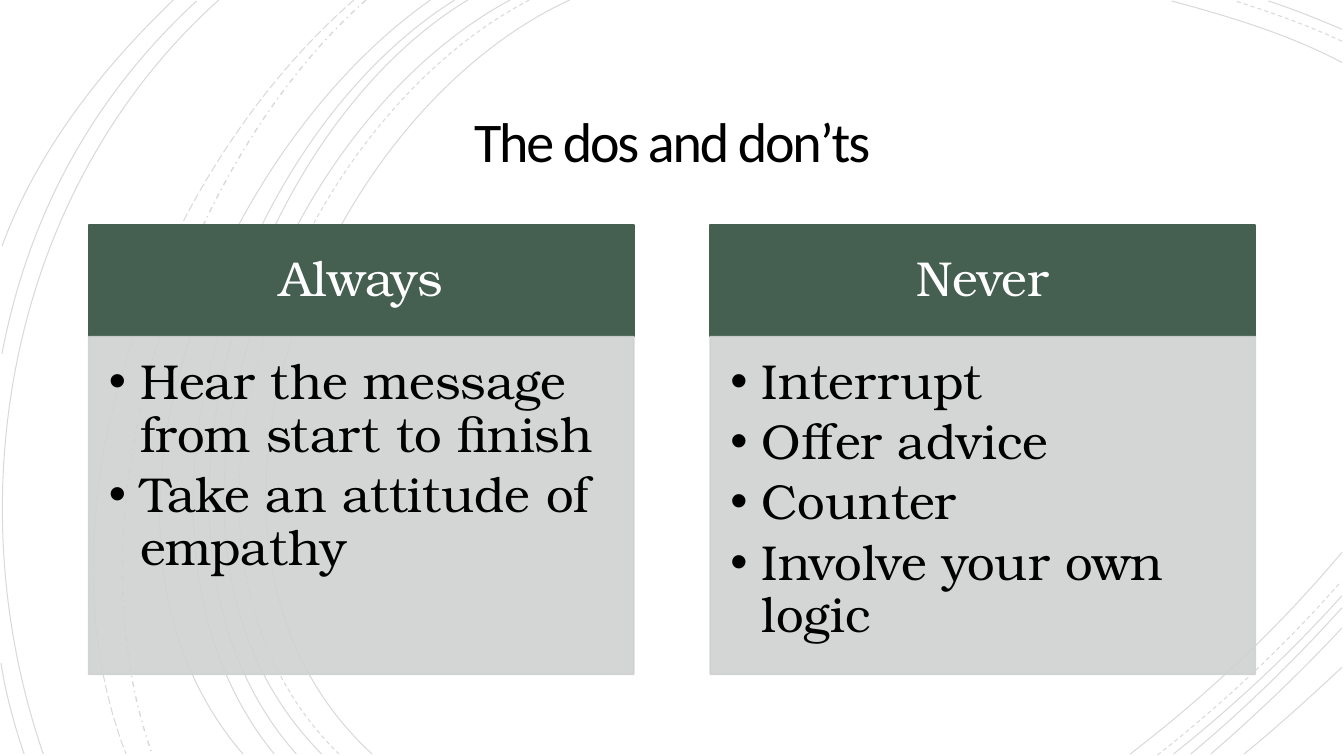
from dataclasses import dataclass

from lxml import etree
from pptx import Presentation
from pptx import util as u
from pptx.dml.color import RGBColor
from pptx.enum import dml, text
from pptx.oxml import ns


@dataclass(frozen=True)
class Theme:
    ink: str = "000000"
    paper: str = "FFFFFF"
    header: str = "455F51"
    panel: str = "CFD2D0"
    title_font: str = "Calibri"
    body_font: str = "TeX Gyre Bonum"
    title_size: float = 40
    body_size: float = 35
    arc_alpha: int = 15
    panel_alpha: int = 90


@dataclass(frozen=True)
class Box:
    x: float
    y: float
    w: float
    h: float

    def columns(self, count, gap):
        w = (self.w - gap * (count - 1)) / count
        return [Box(self.x + i * (w + gap), self.y, w, self.h) for i in range(count)]

    def split(self, top):
        return Box(self.x, self.y, self.w, top), Box(self.x, self.y + top, self.w, self.h - top)


THEME = Theme()
PAGE = Box(0, 0, 13.33, 7.5)
TITLE = Box(1.92, 0.87, 9.49, 1.15)
CARDS = Box(0.88, 2.23, 11.57, 4.46)
CARD_GAP = 0.76
HEADER_HEIGHT = 1.11

SOLID, DASH = dml.MSO_LINE.SOLID, dml.MSO_LINE.DASH
LONG_DASH, DASH_DOT = dml.MSO_LINE.LONG_DASH, dml.MSO_LINE.DASH_DOT

ARCS = [
    (SOLID, (5.65, 0), (3.15, 1.15), (1.43, 5.4), (3.69, 7.48)),
    (SOLID, (13.31, 0.62), (12.78, 0.34), (12.18, 0.16), (11.62, 0.01)),
    (SOLID, (11.21, 7.48), (11.97, 6.9), (12.69, 6.22), (13.31, 5.48)),
    (DASH, (5.25, 0), (2.85, 1.25), (1.23, 5.37), (3.36, 7.48)),
    (DASH, (13.31, 0.41), (12.97, 0.25), (12.6, 0.12), (12.25, 0.01)),
    (DASH, (11.48, 7.49), (12.13, 6.98), (12.75, 6.4), (13.3, 5.77)),
    (SOLID, (5.06, 0), (2.7, 1.27), (1.1, 5.37), (3.19, 7.48)),
    (SOLID, (13.31, 0.29), (13.07, 0.19), (12.83, 0.09), (12.58, 0.01)),
    (SOLID, (11.64, 7.48), (12.23, 7.01), (12.8, 6.48), (13.31, 5.91)),
    (SOLID, (4.64, 0), (2.44, 1.33), (1.1, 5.41), (2.94, 7.48)),
    (SOLID, (11.81, 7.48), (12.34, 7.04), (12.84, 6.55), (13.31, 6.03)),
    (SOLID, (4.51, 0), (2.31, 1.38), (0.97, 5.33), (2.72, 7.48)),
    (SOLID, (12.01, 7.48), (12.46, 7.09), (12.9, 6.67), (13.31, 6.23)),
    (SOLID, (4.27, 0), (2.17, 1.47), (0.53, 5.29), (2.41, 7.48)),
    (SOLID, (12.34, 7.48), (12.67, 7.21), (12.99, 6.92), (13.31, 6.62)),
    (DASH_DOT, (3.63, 0), (1.76, 1.66), (0.65, 5.09), (1.51, 7.48)),
    (LONG_DASH, (3.51, 0), (1.57, 1.69), (0.29, 4.99), (1.25, 7.48)),
    (SOLID, (2.17, 0), (0.11, 1.85), (-0.46, 4.9), (0.43, 7.48)),
    (SOLID, (1.95, 0.01), (0.92, 0.96), (0.28, 2.14), (0.02, 3.51)),
    (SOLID, (0.01, 6.58), (0.06, 6.89), (0.14, 7.19), (0.24, 7.48)),
    (SOLID, (1.72, 0), (1, 0.69), (0.37, 1.5), (0.02, 2.44)),
]

LISTS = [
    ("Always", ["Hear the message from start to finish", "Take an attitude of empathy"]),
    ("Never", ["Interrupt", "Offer advice", "Counter", "Involve your own logic"]),
]


def paint(fill, color, alpha=100):
    fill.solid()
    fill.fore_color.rgb = RGBColor.from_string(color)
    if alpha < 100:
        clr = fill._xPr.find(".//" + ns.qn("a:srgbClr"))
        etree.SubElement(clr, ns.qn("a:alpha"), val=str(alpha * 1000))


def bend(sp):
    outline = sp._element.find(".//" + ns.qn("a:path"))
    curve = etree.SubElement(outline, ns.qn("a:cubicBezTo"))
    for line in outline.findall(ns.qn("a:lnTo")):
        curve.append(line[0])
        outline.remove(line)


def draw_arcs(slide, box):
    group = slide.shapes.add_group_shape()
    for dash, *controls in ARCS:
        points = [(u.Inches(box.x + x), u.Inches(box.y + y)) for x, y in controls]
        builder = group.shapes.build_freeform(*points[0])
        builder.add_line_segments(points[1:], close=False)
        sp = builder.convert_to_shape()
        bend(sp)
        sp.shadow.inherit = False
        sp.fill.background()
        paint(sp.line.fill, THEME.ink, THEME.arc_alpha)
        sp.line.width = u.Pt(1 if dash == DASH_DOT else 0.75)
        sp.line.dash_style = dash
    slide.shapes._spTree.insert(2, group._element)


def place(sp, box, insets, anchor):
    sp.left, sp.top, sp.width, sp.height = map(u.Inches, (box.x, box.y, box.w, box.h))
    tf = sp.text_frame
    tf.margin_left, tf.margin_top, tf.margin_right, tf.margin_bottom = map(u.Inches, insets)
    tf.word_wrap = True
    tf.auto_size = text.MSO_AUTO_SIZE.NONE
    tf.vertical_anchor = anchor
    return tf


def write(p, words, font, size, color, align, spacing, after=0):
    p.alignment = align
    p.line_spacing = spacing
    p.space_before = u.Pt(0)
    p.space_after = u.Pt(after)
    r = p.add_run()
    r.text = words
    r.font.name = font
    r.font.size = u.Pt(size)
    r.font.bold = False
    r.font.color.rgb = RGBColor.from_string(color)
    return r


def draw_title(sp, box):
    tf = place(sp, box, [0.25] * 4, text.MSO_ANCHOR.MIDDLE)
    r = write(tf.paragraphs[0], "The dos and don’ts", THEME.title_font, THEME.title_size,
              THEME.ink, text.PP_ALIGN.CENTER, 0.85)
    r.font._element.set("spc", "-150")


def fill_panel(sp, color, alpha=100):
    paint(sp.fill, color, alpha)
    paint(sp.line.fill, color, alpha)
    sp.line.width = u.Pt(1.25)


def add_bullet(p):
    pr = p._p.get_or_add_pPr()
    pr.set("marL", str(u.Inches(0.31)))
    pr.set("indent", str(u.Inches(-0.31)))
    etree.SubElement(pr, ns.qn("a:buChar"), char="•")


def draw_card(header, body, box, heading, items):
    top, bottom = box.split(HEADER_HEIGHT)
    tf = place(header, top, (0.27, 0.16, 0.27, 0.16), text.MSO_ANCHOR.MIDDLE)
    fill_panel(header, THEME.header)
    write(tf.paragraphs[0], heading, THEME.body_font, THEME.body_size, THEME.paper,
          text.PP_ALIGN.CENTER, 0.9)

    tf = place(body, bottom, (0.2, 0.2, 0.27, 0.31), text.MSO_ANCHOR.TOP)
    fill_panel(body, THEME.panel, THEME.panel_alpha)
    for i, item in enumerate(items):
        p = tf.add_paragraph() if i else tf.paragraphs[0]
        write(p, item, THEME.body_font, THEME.body_size, THEME.ink,
              text.PP_ALIGN.LEFT, 0.9, THEME.body_size * 0.15)
        add_bullet(p)


def build_comparison(prs):
    slide = prs.slides.add_slide(prs.slide_layouts.get_by_name("Comparison"))
    paint(slide.background.fill, THEME.paper)
    draw_arcs(slide, PAGE)
    title, *parts = slide.placeholders
    draw_title(title, TITLE)
    columns = CARDS.columns(len(LISTS), CARD_GAP)
    for header, body, box, content in zip(parts[::2], parts[1::2], columns, LISTS):
        draw_card(header, body, box, *content)


def main():
    prs = Presentation()
    prs.slide_width, prs.slide_height = u.Inches(PAGE.w), u.Inches(PAGE.h)
    build_comparison(prs)
    prs.save("out.pptx")


if __name__ == "__main__":
    main()
